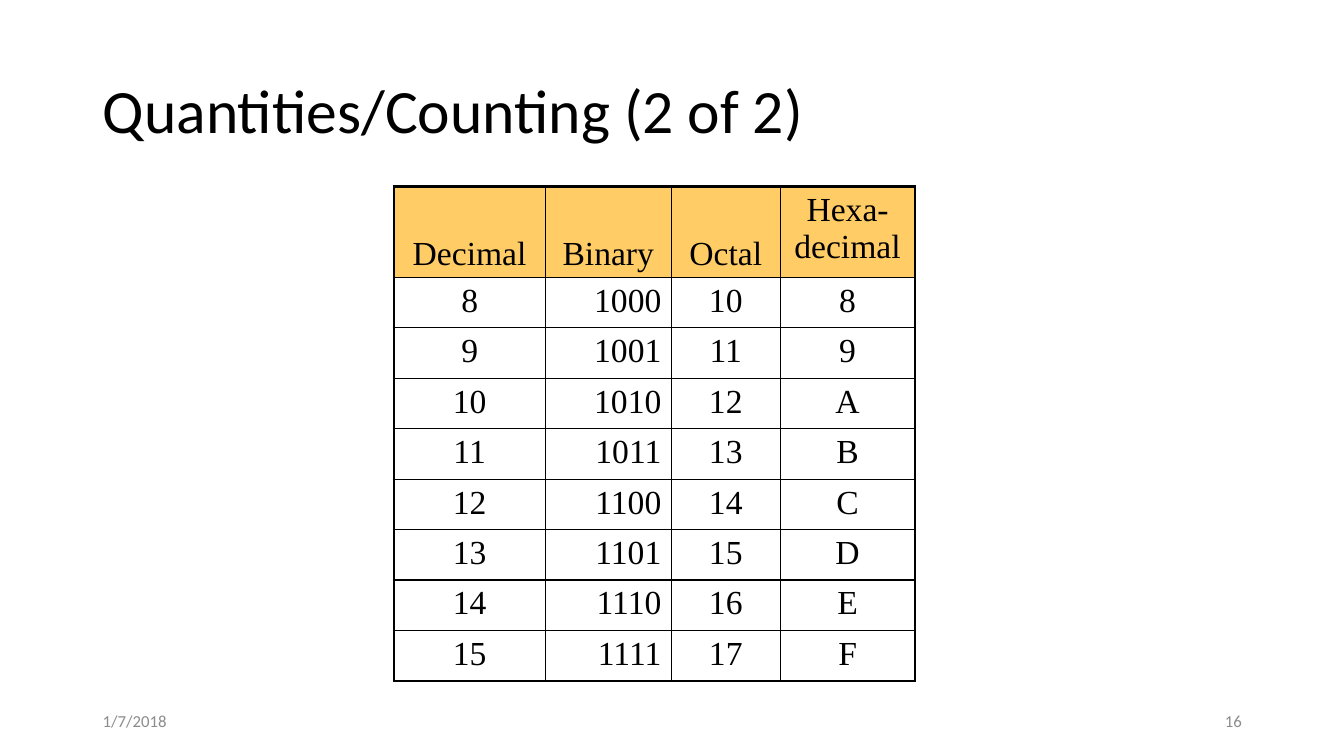
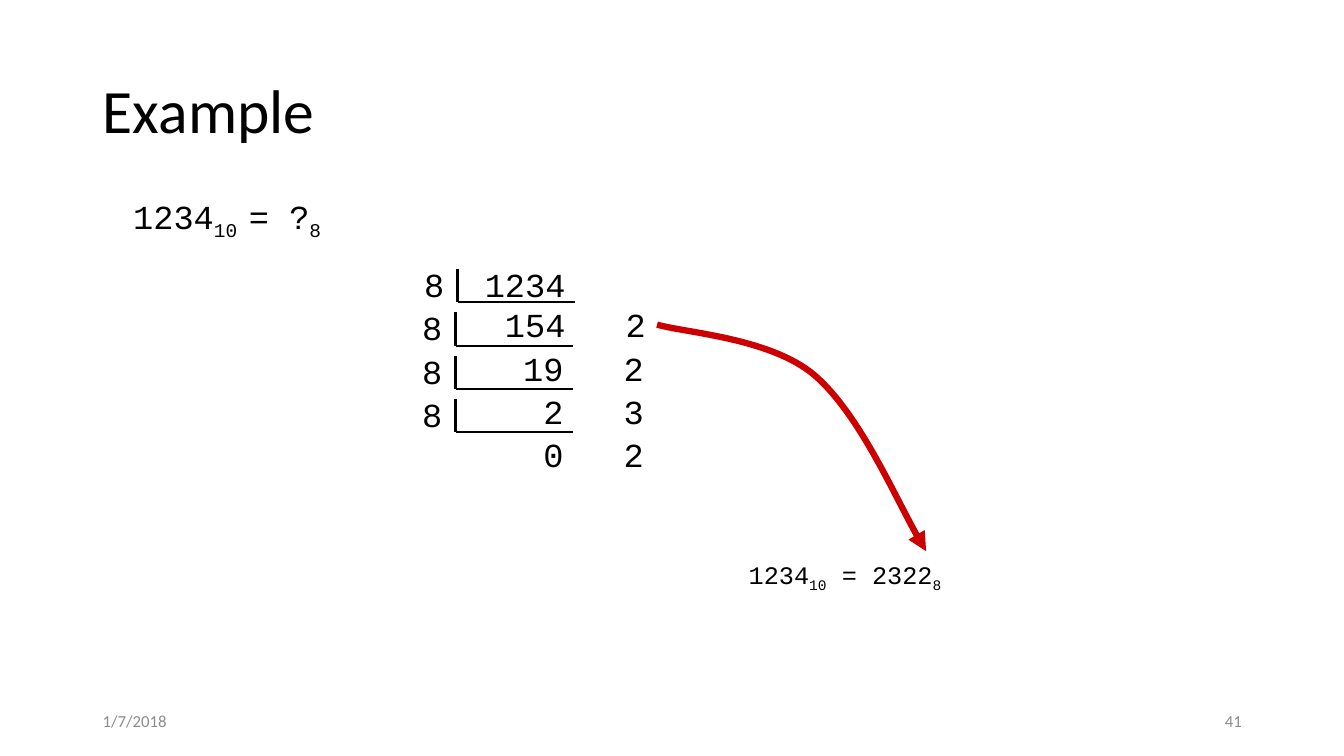
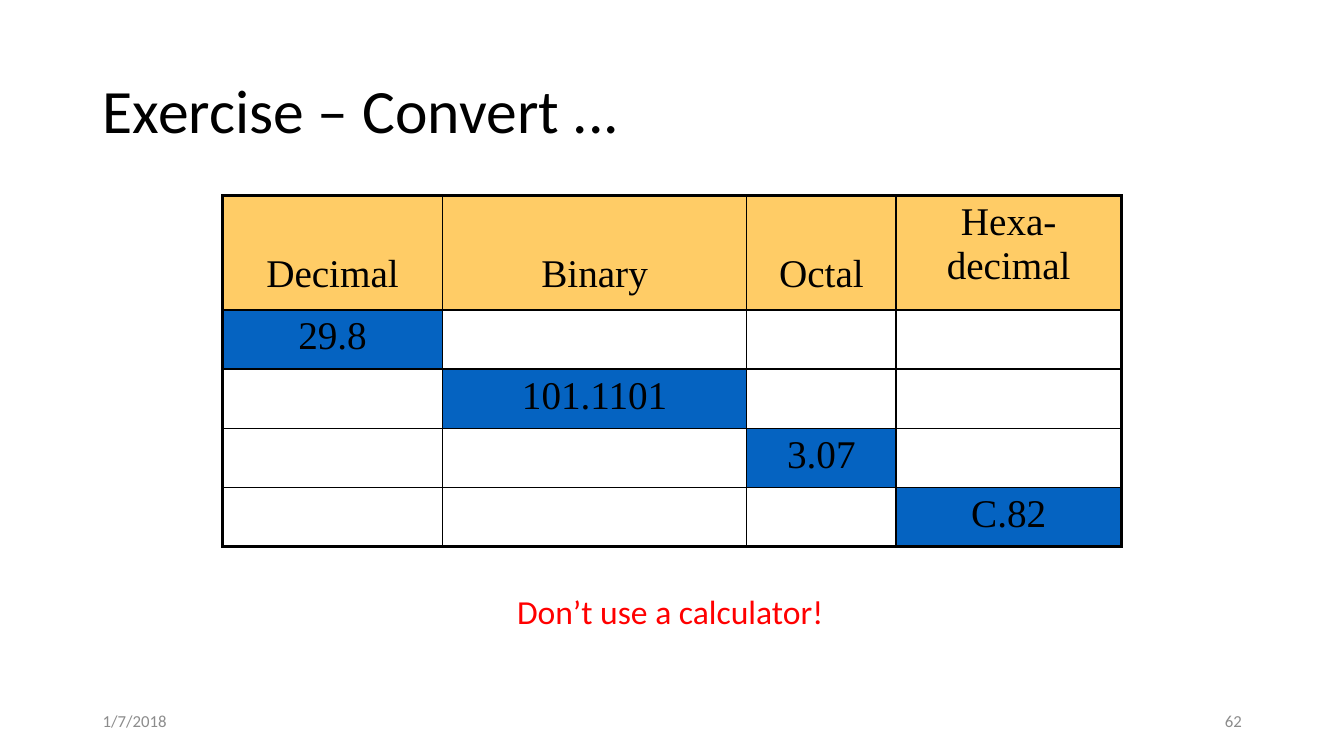
from dataclasses import dataclass

from lxml import etree
from pptx import Presentation
from pptx import util as u
from pptx.dml.color import RGBColor
from pptx.enum import shapes, text
from pptx.oxml.ns import qn

BLACK, GREY, RED = "000000", "8C8C8C", "FF0000"
HEADER_FILL, GIVEN_FILL, ARROW_RED = "FFCC66", "0563C1", "CC0000"
SANS, SERIF, MONO = "Calibri", "Times New Roman", "Courier New"
LEFT, CENTER, RIGHT = text.PP_ALIGN.LEFT, text.PP_ALIGN.CENTER, text.PP_ALIGN.RIGHT
TOP, MIDDLE, BOTTOM = text.MSO_ANCHOR.TOP, text.MSO_ANCHOR.MIDDLE, text.MSO_ANCHOR.BOTTOM
THICK, THIN = 2.25, 1
DATE = "1/7/2018"
HEADINGS = ["Decimal", "Binary", "Octal", "Hexa-\ndecimal"]


@dataclass
class Run:
    text: str
    subscript: bool = False


@dataclass
class NumberTable:
    left: float
    top: float
    columns: list[float]
    header_height: float
    row_height: float
    header_pad: float
    size: int
    rows: list[list[str]]
    aligns: list
    given_fill: str | None = None


@dataclass
class DivisionStep:
    left: float
    lines: list[str]


def rgb(color: str) -> RGBColor:
    return RGBColor.from_string(color)


def write_text(frame, paragraphs, *, size, font=SANS, color=BLACK, align=LEFT,
               anchor=TOP, wrap=True, spacing=None, tabs=()):
    """Fill a text frame; a paragraph is a string or a list of runs."""
    frame.word_wrap = wrap
    frame.vertical_anchor = anchor
    for index, content in enumerate(paragraphs):
        paragraph = frame.add_paragraph() if index else frame.paragraphs[0]
        paragraph.alignment = align
        if spacing:
            paragraph.line_spacing = spacing
        if tabs:
            stops = etree.SubElement(paragraph._p.get_or_add_pPr(), qn("a:tabLst"))
            for position, kind in tabs:
                etree.SubElement(stops, qn("a:tab"), pos=str(u.Cm(position)), algn=kind)
        for part in [Run(content)] if isinstance(content, str) else content:
            for number, line in enumerate(part.text.split("\n")):
                if number:
                    paragraph.add_line_break()
                run = paragraph.add_run()
                run.text = line
                run.font.size = u.Pt(size)
                run.font.name = font
                run.font.color.rgb = rgb(color)
                if part.subscript:
                    run.font._element.set("baseline", "-25000")


def add_text(slide, left, top, width, height, paragraphs, **style):
    box = slide.shapes.add_textbox(u.Cm(left), u.Cm(top), u.Cm(width), u.Cm(height))
    write_text(box.text_frame, paragraphs, **style)


def add_titled_slide(prs, title: str, number: int):
    slide = prs.slides.add_slide(prs.slide_layouts[5])
    heading = slide.shapes.title
    heading.left, heading.top = u.Cm(2.34), u.Cm(1.02)
    heading.width, heading.height = u.Cm(29.21), u.Cm(3.68)
    write_text(heading.text_frame, [title], size=44, anchor=MIDDLE, spacing=0.9)
    # Footer: date on the left, slide number on the right
    for left, content, align in [(2.34, DATE, LEFT), (23.93, str(number), RIGHT)]:
        add_text(slide, left, 17.65, 7.62, 1.02, [content], size=12, color=GREY,
                 align=align, anchor=MIDDLE)
    return slide


def set_borders(cell, widths: dict[str, float]):
    properties = cell._tc.get_or_add_tcPr()
    for side, width in widths.items():
        border = etree.SubElement(properties, qn(f"a:ln{side}"), w=str(u.Pt(width)))
        fill = etree.SubElement(border, qn("a:solidFill"))
        etree.SubElement(fill, qn("a:srgbClr"), val=BLACK)


def add_number_table(slide, spec_table: NumberTable):
    t = spec_table
    rows = [HEADINGS, *t.rows]
    last_row, last_column = len(rows) - 1, len(t.columns) - 1
    height = t.header_height + last_row * t.row_height
    grid = slide.shapes.add_table(len(rows), len(t.columns), u.Cm(t.left), u.Cm(t.top),
                                  u.Cm(sum(t.columns)), u.Cm(height)).table
    grid.first_row = grid.horz_banding = False
    for column, width in zip(grid.columns, t.columns):
        column.width = u.Cm(width)
    for r, values in enumerate(rows):
        grid.rows[r].height = u.Cm(t.row_height if r else t.header_height)
        for c, value in enumerate(values):
            cell = grid.cell(r, c)
            set_borders(cell, {
                "L": THIN if c else THICK,
                "R": THICK if c == last_column else THIN,
                "T": THIN if r else THICK,
                "B": THICK if r == last_row else THIN,
            })
            fill = (t.given_fill if value else None) if r else HEADER_FILL
            if fill:
                cell.fill.solid()
                cell.fill.fore_color.rgb = rgb(fill)
            else:
                cell.fill.background()
            if value:
                write_text(cell.text_frame, [value], size=t.size, font=SERIF,
                           align=t.aligns[c] if r else CENTER)
            cell.vertical_anchor = TOP if r or c == last_column else BOTTOM
            if not r:
                cell.margin_bottom = u.Cm(t.header_pad)


def add_line(slide, x1, y1, x2, y2):
    line = slide.shapes.add_connector(shapes.MSO_CONNECTOR.STRAIGHT,
                                      u.Cm(x1), u.Cm(y1), u.Cm(x2), u.Cm(y2))
    line.line.color.rgb = rgb(BLACK)
    line.line.width = u.Pt(1.5)
    etree.SubElement(line._element.spPr, qn("a:effectLst"))


def add_division_step(slide, step: DivisionStep, top: float):
    # Tab stops: quotients end at the first, remainders start at the second
    add_text(slide, step.left, top, 6.1, 2.29, step.lines, size=24, font=MONO,
             wrap=False, tabs=[(3.56, "r"), (5.08, "l")])
    corner_x, corner_y = step.left + 1.09, top + 1.09
    add_line(slide, corner_x, top + 0.25, corner_x, corner_y)
    add_line(slide, corner_x, corner_y, step.left + 4.06, corner_y)


def add_curved_arrow(slide, points: list[tuple[float, float]]):
    """Draw cubic curves: a start point, then three points for each curve."""
    start, *rest = [(u.Cm(x), u.Cm(y)) for x, y in points]
    builder = slide.shapes.build_freeform(*start)
    builder.add_line_segments(rest, close=False)
    arrow = builder.convert_to_shape()
    segments = list(arrow._element.iter(qn("a:lnTo")))
    for first in range(0, len(segments), 3):
        curve = etree.SubElement(segments[first].getparent(), qn("a:cubicBezTo"))
        for segment in segments[first:first + 3]:
            curve.append(segment[0])
            segment.getparent().remove(segment)
    arrow.shadow.inherit = False
    arrow.fill.background()
    arrow.line.color.rgb = rgb(ARROW_RED)
    arrow.line.width = u.Pt(4.5)
    etree.SubElement(arrow.line._get_or_add_ln(), qn("a:tailEnd"), type="triangle")


def build_counting(prs):
    slide = add_titled_slide(prs, "Quantities/Counting (2 of 2)", 16)
    add_number_table(slide, NumberTable(
        left=9.93, top=4.7, columns=[3.81, 3.18, 2.74, 3.4], header_height=2.28,
        row_height=1.27, header_pad=0.13, size=24,
        rows=[[str(n), f"{n:b}", f"{n:o}", f"{n:X}"] for n in range(8, 16)],
        aligns=[CENTER, RIGHT, CENTER, CENTER]))


def build_example(prs):
    slide = add_titled_slide(prs, "Example", 41)
    add_text(slide, 2.6, 4.8, 6.25, 1.27,
             [[Run("1234"), Run("10 ", True), Run("= ?"), Run("8", True)]],
             size=24, font=MONO, align=CENTER)
    # Repeated division by eight
    steps = [
        DivisionStep(10.44, ["8\t1234", "\t154\t2"]),
        DivisionStep(10.39, ["8", "\t19\t2"]),
        DivisionStep(10.39, ["8", "\t2\t3"]),
        DivisionStep(10.39, ["8", "\t0\t2"]),
    ]
    for index, step in enumerate(steps):
        add_division_step(slide, step, 6.53 + index * 1.09)
    # Remainders lead to the answer
    add_text(slide, 17.27, 13.97, 8.05, 1.27,
             [[Run("1234"), Run("10", True), Run(" = 2322"), Run("8", True)]],
             size=18, font=MONO, align=CENTER)
    add_curved_arrow(slide, [(16.56, 8.18), (17.22, 8.38), (19.41, 8.51), (20.52, 9.45),
                             (21.64, 10.41), (22.76, 12.98), (23.34, 13.89)])


def build_exercise(prs):
    slide = add_titled_slide(prs, "Exercise – Convert ...", 62)
    add_text(slide, 12.78, 14.76, 8.31, 1.27, ["Don’t use a calculator!"],
             size=24, color=RED, wrap=False)
    # Each row gives one number, on the diagonal
    given = ["29.8", "101.1101", "3.07", "C.82"]
    add_number_table(slide, NumberTable(
        left=5.61, top=4.93, columns=[5.54, 7.67, 3.76, 5.68], header_height=2.88,
        row_height=1.49, header_pad=0.36, size=28,
        rows=[[value if c == r else "" for c in range(len(given))]
              for r, value in enumerate(given)],
        aligns=[CENTER] * len(given), given_fill=GIVEN_FILL))


def main():
    prs = Presentation()
    prs.slide_width, prs.slide_height = u.Cm(33.87), u.Cm(19.05)
    build_counting(prs)
    build_example(prs)
    build_exercise(prs)
    prs.save("out.pptx")


if __name__ == "__main__":
    main()
